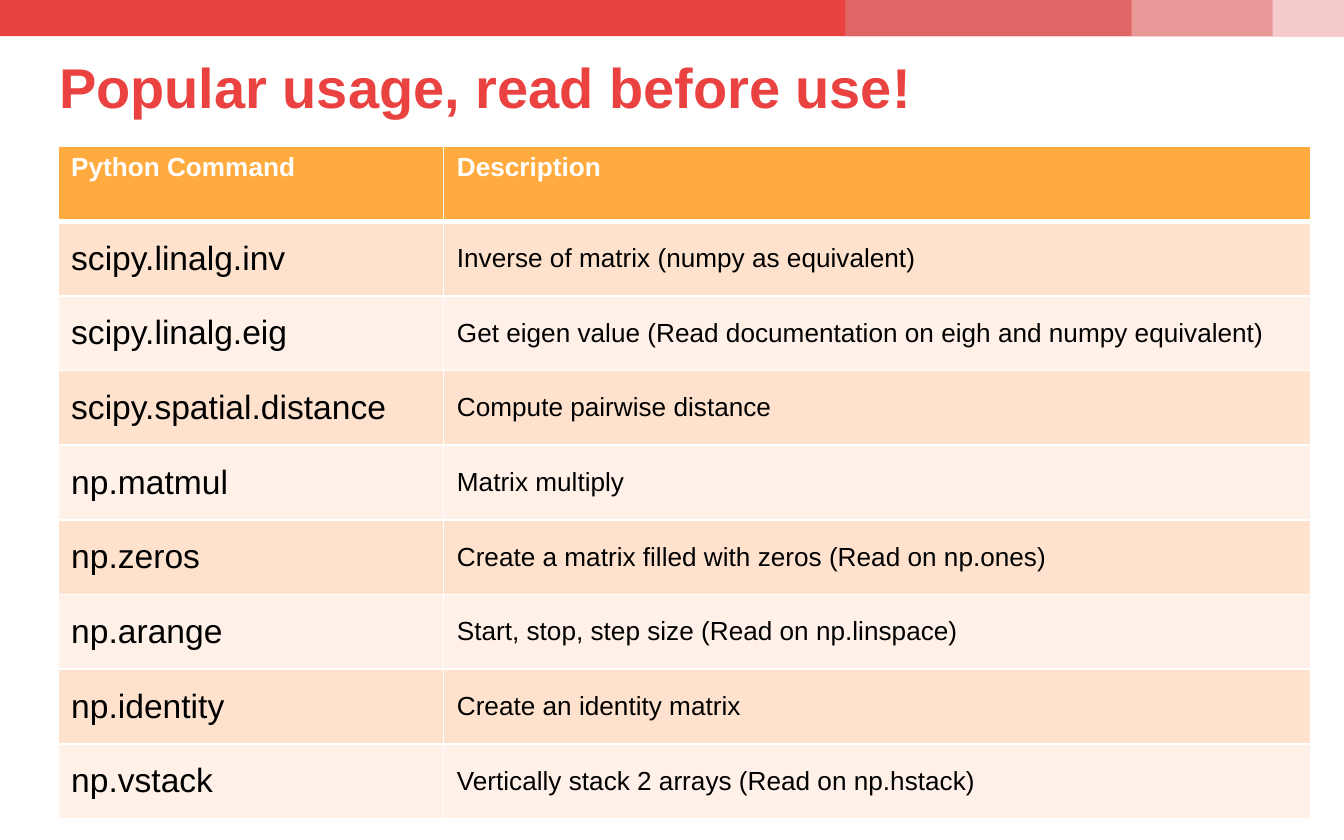
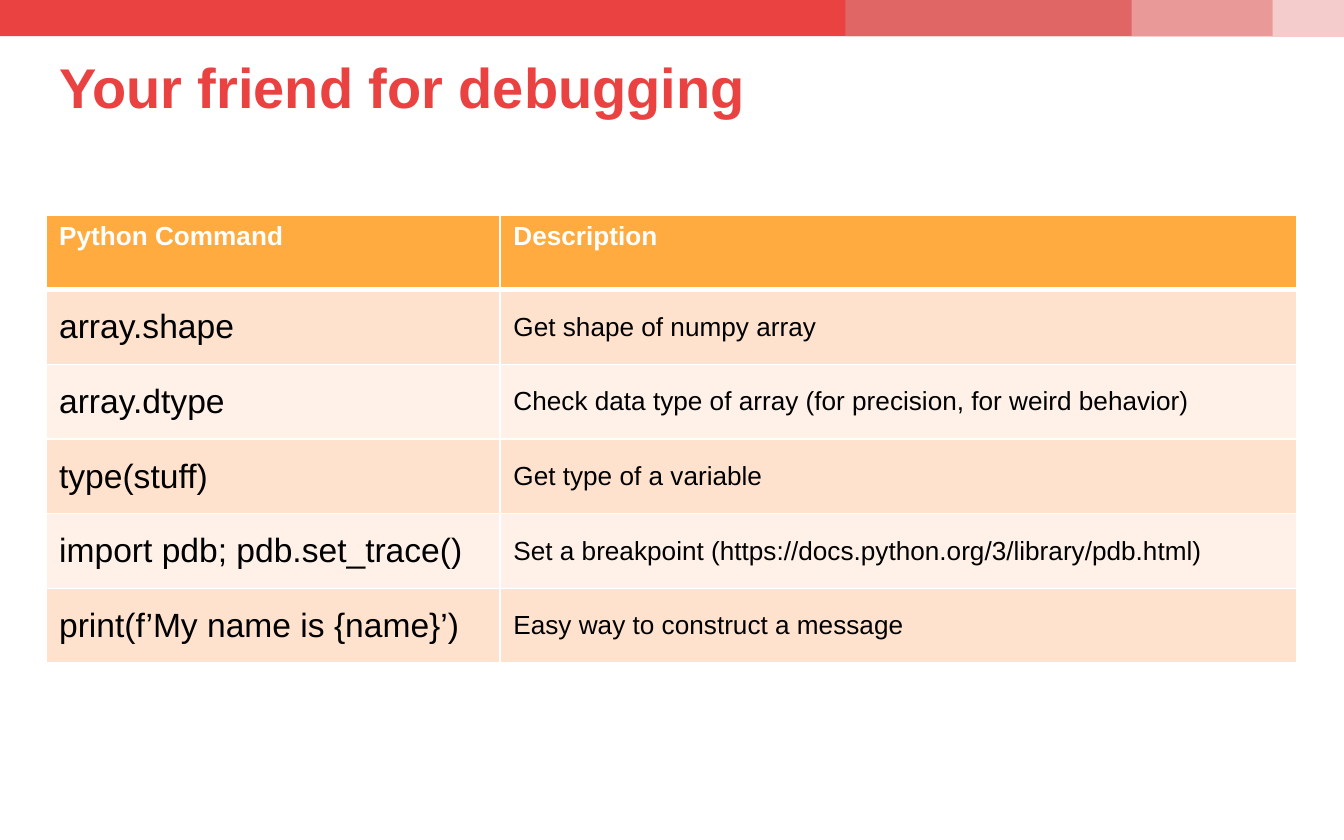
"""Build two slides of Python command reference tables."""
from lxml import etree
from pptx import Presentation
from pptx import util as u
from pptx.dml.color import RGBColor
from pptx.enum import shapes, text
from pptx.oxml import ns

FONT = "Arial"
RED = RGBColor(0xEA, 0x41, 0x41)
ROSE = RGBColor(0xE0, 0x66, 0x66)
PINK = RGBColor(0xEA, 0x99, 0x99)
BLUSH = RGBColor(0xF4, 0xCC, 0xCC)
ORANGE = RGBColor(0xFF, 0xAB, 0x40)
PEACH = RGBColor(0xFF, 0xE2, 0xCD)
CREAM = RGBColor(0xFF, 0xF1, 0xE8)
WHITE = RGBColor(0xFF, 0xFF, 0xFF)
BLACK = RGBColor(0, 0, 0)

SLIDE_WIDTH, SLIDE_HEIGHT = 10, 6.25
BAND_HEIGHT = 0.27
BAND_PARTS = [(0, RED), (6.29, ROSE), (8.42, PINK), (9.47, BLUSH)]
ROW_HEIGHT = 5 / 9
HEADER = ("Python Command", "Description")

USAGE_ROWS = [
    ("scipy.linalg.inv", "Inverse of matrix (numpy as equivalent)"),
    ("scipy.linalg.eig", "Get eigen value (Read documentation on eigh and numpy equivalent)"),
    ("scipy.spatial.distance", "Compute pairwise distance"),
    ("np.matmul", "Matrix multiply"),
    ("np.zeros", "Create a matrix filled with zeros (Read on np.ones)"),
    ("np.arange", "Start, stop, step size (Read on np.linspace)"),
    ("np.identity", "Create an identity matrix"),
    ("np.vstack", "Vertically stack 2 arrays (Read on np.hstack)"),
]
DEBUG_ROWS = [
    ("array.shape", "Get shape of numpy array"),
    ("array.dtype", "Check data type of array (for precision, for weird behavior)"),
    ("type(stuff)", "Get type of a variable"),
    ("import pdb; pdb.set_trace()",
     "Set a breakpoint (https://docs.python.org/3/library/pdb.html)"),
    ("print(f’My name is {name}’)", "Easy way to construct a message"),
]


def format_runs(paragraph, size, color, bold=False):
    """Apply the deck font to every run of a paragraph."""
    for run in paragraph.runs:
        run.font.name = FONT
        run.font.size = u.Pt(size)
        run.font.bold = bold
        run.font.color.rgb = color


def add_band(slide):
    """Draw the top band, each part reaching the right edge under the next."""
    group = slide.shapes.add_group_shape()
    for left, color in BAND_PARTS:
        part = group.shapes.add_shape(
            shapes.MSO_SHAPE.RECTANGLE, u.Inches(left), 0,
            u.Inches(SLIDE_WIDTH - left), u.Inches(BAND_HEIGHT))
        part.shadow.inherit = False
        part.fill.solid()
        part.fill.fore_color.rgb = color
        part.line.fill.background()


def set_title(slide, wording):
    """Place and format the title placeholder."""
    title = slide.shapes.title
    title.left, title.top = u.Inches(0.34), u.Inches(BAND_HEIGHT)
    title.width, title.height = u.Inches(7.38), u.Inches(0.67)
    frame = title.text_frame
    frame.text = wording
    frame.word_wrap = True
    frame.auto_size = text.MSO_AUTO_SIZE.NONE
    frame.vertical_anchor = text.MSO_ANCHOR.MIDDLE
    frame.margin_left = frame.margin_right = u.Inches(0.1)
    frame.margin_top = frame.margin_bottom = u.Inches(0.1)
    paragraph = frame.paragraphs[0]
    paragraph.alignment = text.PP_ALIGN.LEFT
    paragraph.line_spacing = 1.15
    format_runs(paragraph, 30, RED, bold=True)


def set_borders(cell, top=1, bottom=1):
    """Give a cell white borders, with widths in points."""
    properties = cell._tc.get_or_add_tcPr()
    for side, width in (("L", 1), ("R", 1), ("T", top), ("B", bottom)):
        line = etree.SubElement(properties, ns.qn(f"a:ln{side}"), w=str(u.Pt(width)))
        fill = etree.SubElement(line, ns.qn("a:solidFill"))
        etree.SubElement(fill, ns.qn("a:srgbClr"), val=str(WHITE))


def format_cell(cell, row, column):
    """Style a cell by its place in the table."""
    set_borders(cell, top=3 if row == 1 else 1, bottom=3 if row == 0 else 1)
    cell.fill.solid()
    paragraph = cell.text_frame.paragraphs[0]
    if row == 0:
        cell.fill.fore_color.rgb = ORANGE
        format_runs(paragraph, 14, WHITE, bold=True)
    else:
        cell.fill.fore_color.rgb = PEACH if row % 2 else CREAM
        cell.vertical_anchor = text.MSO_ANCHOR.MIDDLE
        format_runs(paragraph, 14 if column else 18, BLACK)


def add_command_table(slide, left, top, widths, commands):
    """Add a table of commands and their descriptions."""
    rows = [HEADER, *commands]
    table = slide.shapes.add_table(
        len(rows), len(widths), u.Inches(left), u.Inches(top),
        u.Inches(sum(widths)), u.Inches(ROW_HEIGHT * len(rows))).table
    for column, width in zip(table.columns, widths):
        column.width = u.Inches(width)
    for row_index, wordings in enumerate(rows):
        table.rows[row_index].height = u.Inches(ROW_HEIGHT)
        for column_index, wording in enumerate(wordings):
            cell = table.cell(row_index, column_index)
            cell.text = wording
            format_cell(cell, row_index, column_index)


def add_table_slide(presentation, title, left, top, widths, commands):
    """Add one slide with the band, a title and a command table."""
    slide = presentation.slides.add_slide(presentation.slide_layouts[5])
    add_band(slide)
    set_title(slide, title)
    add_command_table(slide, left, top, widths, commands)


def main():
    """Build and save the presentation."""
    presentation = Presentation()
    presentation.slide_width = u.Inches(SLIDE_WIDTH)
    presentation.slide_height = u.Inches(SLIDE_HEIGHT)
    add_table_slide(presentation, "Popular usage, read before use!",
                    0.43, 1.09, (2.87, 6.45), USAGE_ROWS)
    add_table_slide(presentation, "Your friend for debugging",
                    0.34, 1.6, (3.38, 5.93), DEBUG_ROWS)
    presentation.save("out.pptx")


if __name__ == "__main__":
    main()
